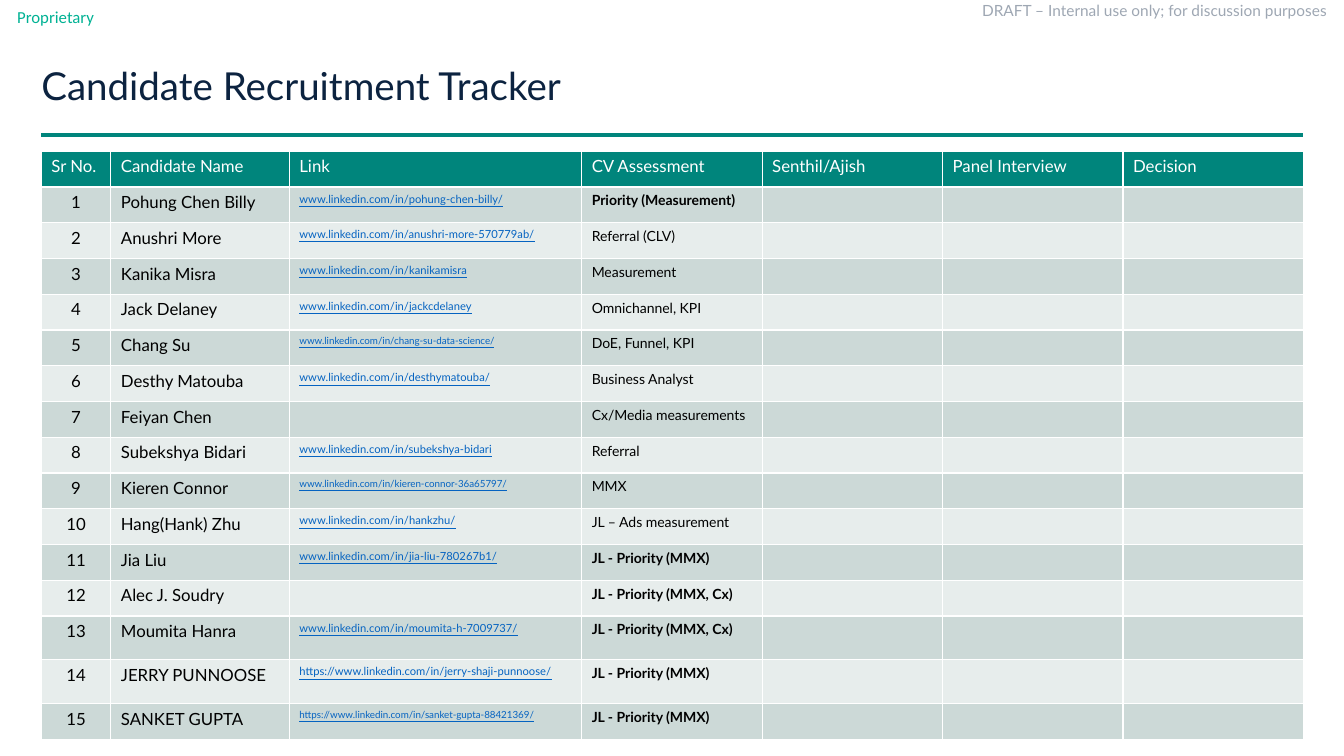
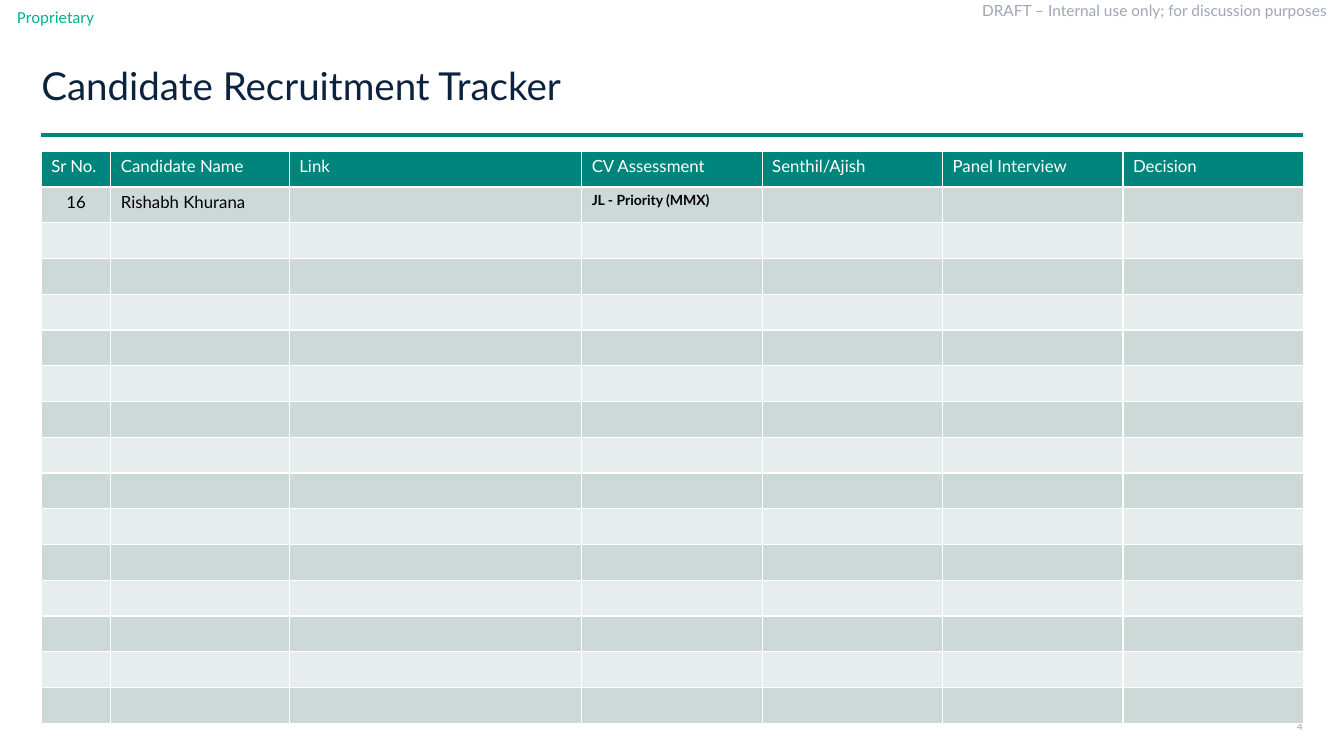
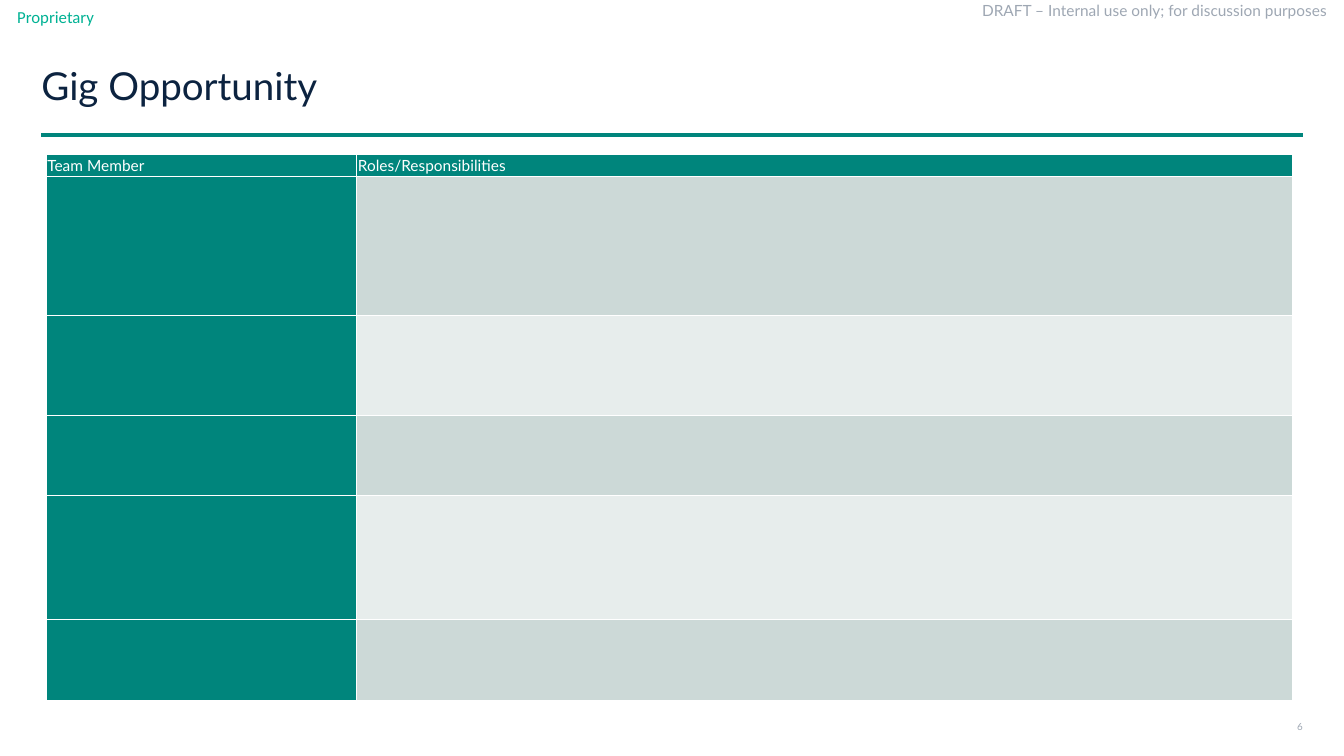
from lxml.etree import SubElement
from pptx import Presentation
from pptx.dml.color import RGBColor
from pptx.enum.shapes import MSO_CONNECTOR
from pptx.enum.text import MSO_ANCHOR, MSO_AUTO_SIZE, PP_ALIGN
from pptx.oxml.ns import qn
from pptx.util import Inches, Pt

COLORS = {
    "teal": "00857C",
    "green": "00B294",
    "navy": "0C2340",
    "gray": "9EA7B3",
    "link": "0563C1",
    "black": "000000",
    "white": "FFFFFF",
    "band_dark": "CCD9D7",
    "band_light": "E7EDEC",
}


def write_text(text_frame, text, size, color, font_name="Lato", align=PP_ALIGN.LEFT,
               bold=False, underline=False):
    text_frame.text = text
    paragraph = text_frame.paragraphs[0]
    paragraph.alignment = align
    font = paragraph.runs[0].font
    font.name = font_name
    font.size = Pt(size)
    font.bold = bold
    font.underline = underline
    font.color.rgb = RGBColor.from_string(COLORS[color])


def add_text_box(slide, left, top, width, height, anchor, text, size, color, **style):
    box = slide.shapes.add_textbox(Inches(left), Inches(top), Inches(width), Inches(height))
    frame = box.text_frame
    frame.word_wrap = True
    frame.vertical_anchor = anchor
    frame.margin_left = frame.margin_right = frame.margin_top = frame.margin_bottom = 0
    write_text(frame, text, size, color, **style)
    return box


presentation = Presentation()
presentation.slide_width = Inches(13.33)
presentation.slide_height = Inches(7.5)
layout = presentation.slide_layouts[5]

# Slides with title and page number (the first tracker page shows no number)
slides = []
for title_text, page_number in [
    ("Candidate Recruitment Tracker", None),
    ("Candidate Recruitment Tracker", "4"),
    ("Gig Opportunity", "6"),
]:
    slide = presentation.slides.add_slide(layout)
    slides.append(slide)
    title = slide.shapes.title
    title.left, title.top = Inches(0.41), Inches(0.41)
    title.width, title.height = Inches(8.23), Inches(0.93)
    frame = title.text_frame
    frame.auto_size = MSO_AUTO_SIZE.NONE
    frame.vertical_anchor = MSO_ANCHOR.MIDDLE
    frame.margin_left = frame.margin_right = frame.margin_top = frame.margin_bottom = 0
    write_text(frame, title_text, 27.5, "navy")
    frame.paragraphs[0].line_spacing = 0.9
    if page_number:
        add_text_box(slide, 12.67, 7.09, 0.25, 0.24, MSO_ANCHOR.MIDDLE,
                     page_number, 7, "gray", align=PP_ALIGN.RIGHT)

# Title rule and header labels, moved to the layout so that every slide shows them
title_rule = slides[0].shapes.add_connector(
    MSO_CONNECTOR.STRAIGHT, Inches(0.41), Inches(1.34), Inches(12.92), Inches(1.34))
title_rule.line.color.rgb = RGBColor.from_string(COLORS["teal"])
title_rule.line.width = Pt(2.5)
SubElement(title_rule._element.spPr, qn("a:effectLst"))
draft_label = add_text_box(slides[0], 9.74, 0.01, 3.94, 0.33, MSO_ANCHOR.TOP,
                           "DRAFT – Internal use only; for discussion purposes", 11, "gray")
proprietary_label = add_text_box(slides[0], 0.17, 0.01, 1.11, 0.32, MSO_ANCHOR.MIDDLE,
                                 "Proprietary", 12, "green", font_name="Calibri")
for shape in (title_rule, draft_label, proprietary_label):
    layout.shapes._spTree.append(shape._element)

# Candidate tables: number, name, link, link size, assessment
headers = ["Sr No.", "Candidate Name", "Link", "CV Assessment",
           "Senthil/Ajish", "Panel Interview", "Decision"]
column_widths = [0.69, 1.77, 2.9] + [1.79] * 4
row_count = 16
first_page = [
    ("1", "Pohung Chen Billy", "www.linkedin.com/in/pohung-chen-billy/", 8, "Priority (Measurement)"),
    ("2", "Anushri More", "www.linkedin.com/in/anushri-more-570779ab/", 8, "Referral (CLV)"),
    ("3", "Kanika Misra", "www.linkedin.com/in/kanikamisra", 8, "Measurement"),
    ("4", "Jack Delaney", "www.linkedin.com/in/jackcdelaney", 8, "Omnichannel, KPI"),
    ("5", "Chang Su", "www.linkedin.com/in/chang-su-data-science/", 7, "DoE, Funnel, KPI"),
    ("6", "Desthy Matouba", "www.linkedin.com/in/desthymatouba/", 8, "Business Analyst"),
    ("7", "Feiyan Chen", "", 8, "Cx/Media measurements"),
    ("8", "Subekshya Bidari", "www.linkedin.com/in/subekshya-bidari", 8, "Referral"),
    ("9", "Kieren Connor", "www.linkedin.com/in/kieren-connor-36a65797/", 7, "MMX"),
    ("10", "Hang(Hank) Zhu", "www.linkedin.com/in/hankzhu/", 8, "JL – Ads measurement"),
    ("11", "Jia Liu", "www.linkedin.com/in/jia-liu-780267b1/", 8, "JL - Priority (MMX)"),
    ("12", "Alec J. Soudry", "", 8, "JL - Priority (MMX, Cx)"),
    ("13", "Moumita Hanra", "www.linkedin.com/in/moumita-h-7009737/", 8, "JL - Priority (MMX, Cx)"),
    ("14", "JERRY PUNNOOSE", "https://www.linkedin.com/in/jerry-shaji-punnoose/", 8, "JL - Priority (MMX)"),
    ("15", "SANKET GUPTA", "https://www.linkedin.com/in/sanket-gupta-88421369/", 7, "JL - Priority (MMX)"),
]
second_page = [("16", "Rishabh Khurana", "", 8, "JL - Priority (MMX)")]

tables = []
for slide, candidates in zip(slides, (first_page, second_page)):
    table = slide.shapes.add_table(row_count, len(headers), Inches(0.41), Inches(1.5),
                                   Inches(12.51), Inches(5.68)).table
    tables.append(table)
    for column, width in zip(table.columns, column_widths):
        column.width = Inches(width)
    for column_index, header in enumerate(headers):
        write_text(table.cell(0, column_index).text_frame, header, 12, "white")
    for row_index, (number, name, link, link_size, assessment) in enumerate(candidates, start=1):
        frames = [table.cell(row_index, column_index).text_frame for column_index in range(4)]
        write_text(frames[0], number, 12, "black", align=PP_ALIGN.CENTER)
        write_text(frames[1], name, 12, "black")
        if link:
            write_text(frames[2], link, link_size, "link", underline=True)
        write_text(frames[3], assessment, 10, "black", bold="Priority" in assessment)

# Two taller rows on the first page
for row_index in (13, 14):
    tables[0].rows[row_index].height += Inches(0.08)

# Team roles table
role_heights = [0.22, 1.38, 0.99, 0.8, 1.23, 0.8]
roles_table = slides[2].shapes.add_table(len(role_heights), 2, Inches(0.46), Inches(1.53),
                                         Inches(12.36), Inches(5.42)).table
roles_table.first_col = True
tables.append(roles_table)
for column, width in zip(roles_table.columns, (3.08, 9.28)):
    column.width = Inches(width)
for row, height in zip(roles_table.rows, role_heights):
    row.height = Inches(height)
for cell, header in zip(roles_table.rows[0].cells, ("Team Member", "Roles/Responsibilities")):
    cell.vertical_anchor = MSO_ANCHOR.MIDDLE
    cell.margin_left = cell.margin_right = cell.margin_top = cell.margin_bottom = Inches(0.01)
    write_text(cell.text_frame, header, 11, "white")

# Cell fills; small type in empty cells keeps the row heights
for table in tables:
    for row_index, row in enumerate(table.rows):
        band = "band_dark" if row_index % 2 else "band_light"
        for column_index, cell in enumerate(row.cells):
            is_header = row_index == 0 or (table.first_col and column_index == 0)
            cell.fill.solid()
            cell.fill.fore_color.rgb = RGBColor.from_string(COLORS["teal" if is_header else band])
            if not cell.text_frame.text:
                SubElement(cell.text_frame.paragraphs[0]._p, qn("a:endParaRPr"), sz="1200")

presentation.save("out.pptx")
